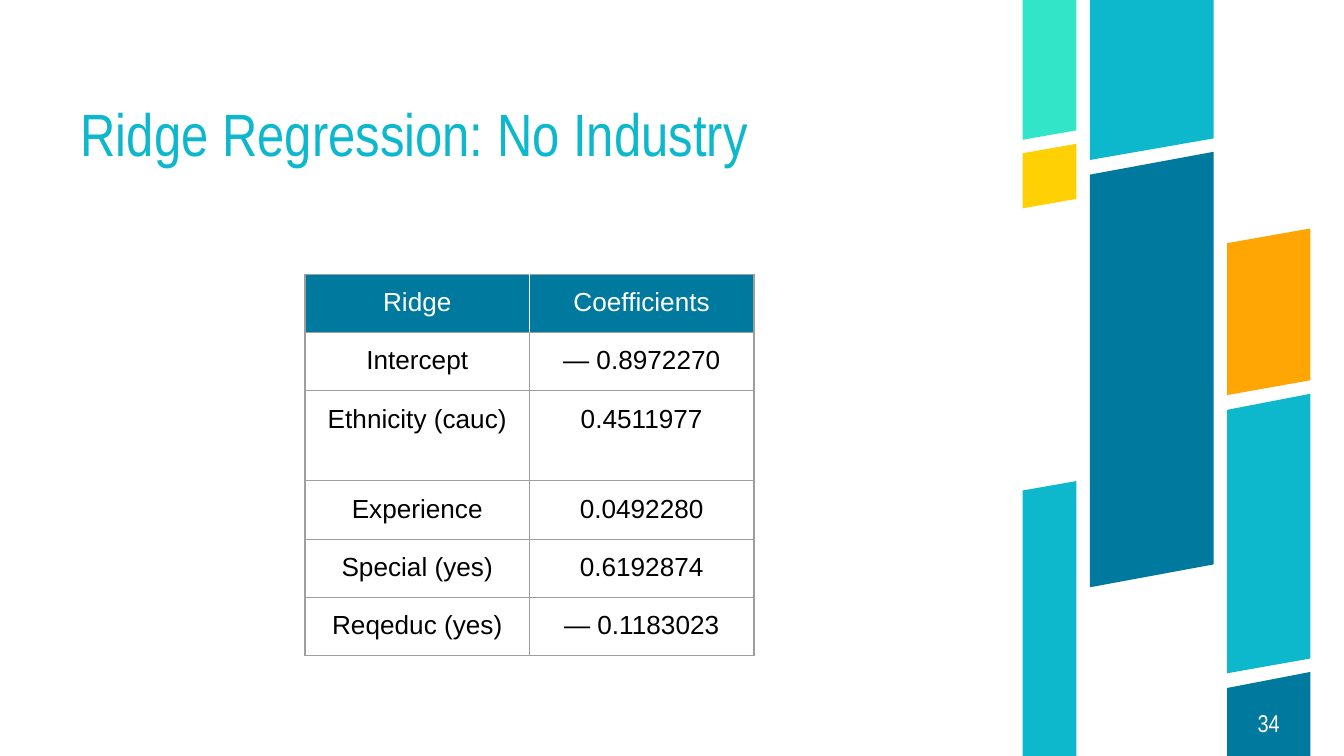
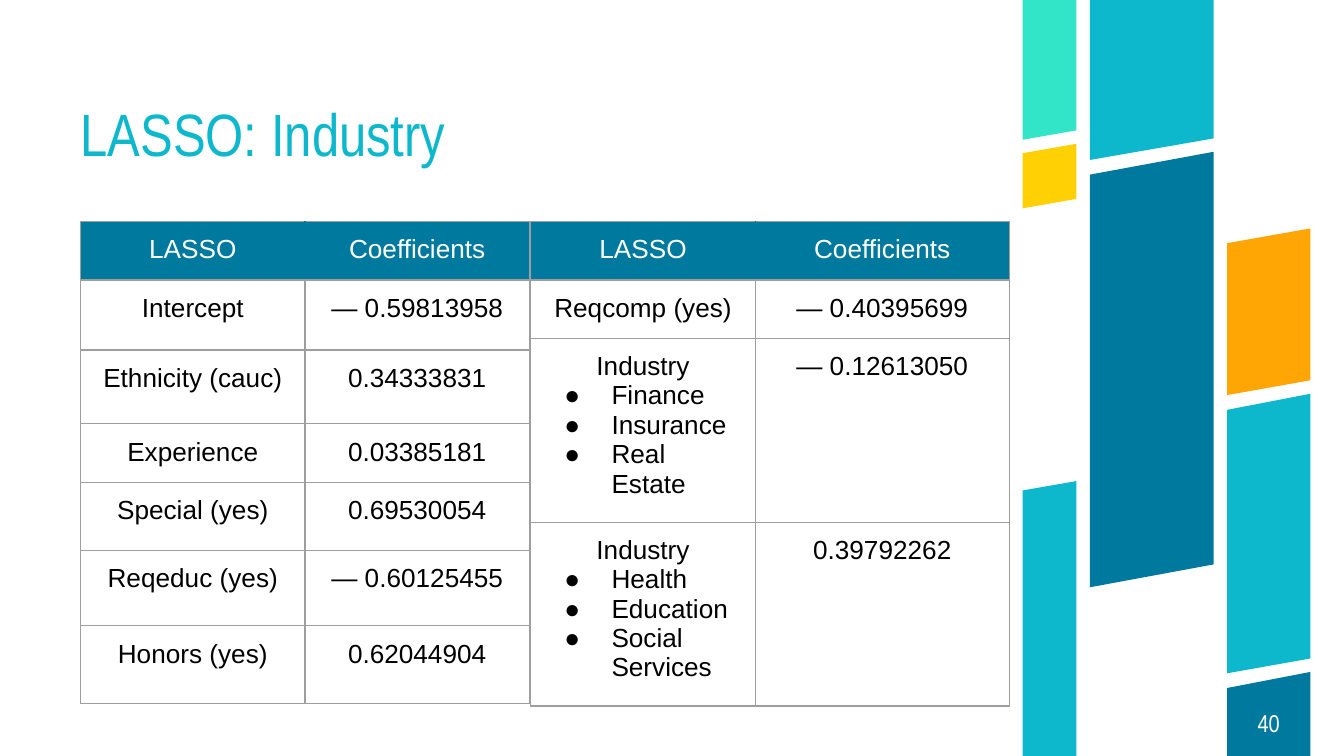
from lxml import etree
from pptx import Presentation
from pptx import util as u
from pptx.dml.color import RGBColor
from pptx.enum import text
from pptx.oxml import ns

# Shared look
WIDTH = 10
HEIGHT = WIDTH * 9 / 16
TEAL, BLUE, MINT = "0DB8CC", "00799E", "32E4C8"
YELLOW, ORANGE = "FFD104", "FFA604"
WHITE, BLACK, GREY = "FFFFFF", "000000", "9E9E9E"
TITLE_FONT, TABLE_FONT = "Arial Narrow", "Arial"
LEFT, CENTER = text.PP_ALIGN.LEFT, text.PP_ALIGN.CENTER
PLAIN_TABLE_STYLE = "{2D5ABB26-0587-4C30-8999-92F81FD0307C}"
TABLE_FRAME = 3.28

# Each column: left, right, then bands as
# (top left, top right, bottom right, bottom left, colour)
BAND_COLUMNS = [
    (7.61, 8.01, [(3.65, 3.58, HEIGHT, HEIGHT, TEAL),
                  (1.14, 1.07, 1.48, 1.55, YELLOW),
                  (0, 0, 0.97, 1.04, MINT)]),
    (8.11, 9.03, [(1.3, 1.13, 4.2, 4.37, BLUE),
                  (0, 0, 1.03, 1.19, TEAL)]),
    (9.13, 9.75, [(1.81, 1.7, 2.83, 2.94, ORANGE),
                  (5.12, 5, HEIGHT, HEIGHT, BLUE),
                  (3.05, 2.93, 4.9, 5.01, TEAL)]),
]

# Table contents; a list in a cell is a heading followed by bullets
RIDGE = [
    ("Ridge", "Coefficients"),
    ("Intercept", "— 0.8972270"),
    ("Ethnicity (cauc)", "0.4511977"),
    ("Experience", "0.0492280"),
    ("Special (yes)", "0.6192874"),
    ("Reqeduc (yes)", "— 0.1183023"),
]
LASSO_PERSONAL = [
    ("LASSO", "Coefficients"),
    ("Intercept", "— 0.59813958"),
    ("Ethnicity (cauc)", "0.34333831"),
    ("Experience", "0.03385181"),
    ("Special (yes)", "0.69530054"),
    ("Reqeduc (yes)", "— 0.60125455"),
    ("Honors (yes)", "0.62044904"),
]
LASSO_INDUSTRY = [
    ("LASSO", "Coefficients"),
    ("Reqcomp (yes)", "— 0.40395699"),
    (["Industry", "Finance", "Insurance", "Real Estate"], "— 0.12613050"),
    (["Industry", "Health", "Education", "Social Services"], "0.39792262"),
]


def color(value):
    return RGBColor.from_string(value)


# Text
def set_default_font(presentation):
    for root in (presentation.element, presentation.slide_master.element):
        for latin in root.iter(ns.qn("a:latin")):
            latin.set("typeface", TABLE_FONT)


def write(paragraph, content, size=14, font=TABLE_FONT, fill=BLACK,
          align=CENTER, spacing=None):
    paragraph.alignment = align
    if spacing:
        paragraph.line_spacing = spacing
    run = paragraph.add_run()
    run.text = content
    run.font.size = u.Pt(size)
    run.font.name = font
    run.font.color.rgb = color(fill)


def add_text(slide, box, content, anchor, **style):
    shape = slide.shapes.add_textbox(*map(u.Inches, box))
    frame = shape.text_frame
    frame.word_wrap = True
    frame.vertical_anchor = anchor
    frame.margin_left = frame.margin_right = 0
    frame.margin_top = frame.margin_bottom = 0
    write(frame.paragraphs[0], content, font=TITLE_FONT, **style)


def add_bullet(paragraph):
    properties = paragraph._p.get_or_add_pPr()
    properties.set("marL", str(u.Inches(0.5)))
    properties.set("indent", str(u.Inches(-0.35)))
    bullet_color = etree.SubElement(properties, ns.qn("a:buClr"))
    etree.SubElement(bullet_color, ns.qn("a:srgbClr"), val=BLACK)
    etree.SubElement(properties, ns.qn("a:buSzPts"), val="1400")
    etree.SubElement(properties, ns.qn("a:buFont"), typeface=TABLE_FONT)
    etree.SubElement(properties, ns.qn("a:buChar"), char="●")


# Slanted bands
def add_band(slide, points, fill):
    corners = [(u.Inches(x), u.Inches(y)) for x, y in points]
    builder = slide.shapes.build_freeform(*corners[0])
    builder.add_line_segments(corners[1:], close=True)
    shape = builder.convert_to_shape()
    shape.shadow.inherit = False
    shape.fill.solid()
    shape.fill.fore_color.rgb = color(fill)
    shape.line.fill.background()


# Tables
def set_borders(cell, **overrides):
    properties = cell._tc.get_or_add_tcPr()
    for side in "LRTB":
        line = etree.SubElement(properties, ns.qn(f"a:ln{side}"),
                                w=str(u.Pt(0.75)))
        fill = etree.SubElement(line, ns.qn("a:solidFill"))
        etree.SubElement(fill, ns.qn("a:srgbClr"),
                         val=overrides.get(side, GREY))


def fill_cell(cell, content, header):
    cell.margin_left = cell.margin_right = u.Inches(0.1)
    cell.margin_top = cell.margin_bottom = u.Inches(0.1)
    if header:
        cell.fill.solid()
        cell.fill.fore_color.rgb = color(BLUE)
    else:
        cell.fill.background()
    heading, *items = content if isinstance(content, list) else [content]
    frame = cell.text_frame
    write(frame.paragraphs[0], heading, fill=WHITE if header else BLACK)
    for item in items:
        paragraph = frame.add_paragraph()
        write(paragraph, item, align=LEFT)
        add_bullet(paragraph)


def add_coefficients(slide, left, top, widths, heights, rows, divider=BLUE):
    frame = slide.shapes.add_table(
        len(rows), len(widths), u.Inches(left), u.Inches(top),
        u.Inches(TABLE_FRAME), u.Inches(TABLE_FRAME))
    table = frame.table
    table.first_row = table.horz_banding = False
    for style in frame.element.iter(ns.qn("a:tableStyleId")):
        style.text = PLAIN_TABLE_STYLE
    for column, width in zip(table.columns, widths):
        column.width = u.Inches(width)
    for row, height in zip(table.rows, heights):
        row.height = u.Inches(height)
    frame.width = frame.height = u.Inches(TABLE_FRAME)
    for row_index, row in enumerate(rows):
        for column_index, content in enumerate(row):
            cell = table.cell(row_index, column_index)
            header = row_index == 0
            inner_side = "L" if column_index else "R"
            set_borders(cell, **({inner_side: divider} if header else {}))
            fill_cell(cell, content, header)


# Slide frame: bands, title and number
def add_slide(presentation, title, number):
    slide = presentation.slides.add_slide(presentation.slide_layouts[6])
    for left, right, bands in BAND_COLUMNS:
        for top_left, top_right, bottom_right, bottom_left, fill in bands:
            add_band(slide, [(left, top_left), (right, top_right),
                             (right, bottom_right), (left, bottom_left)], fill)
    add_text(slide, (0.6, 0.83, 6.68, 0.43), title, text.MSO_ANCHOR.BOTTOM,
             size=32, fill=TEAL, align=LEFT, spacing=0.9)
    add_text(slide, (9.13, 5.13, 0.62, 0.5), number, text.MSO_ANCHOR.MIDDLE,
             size=13, fill=WHITE)
    return slide


def main():
    presentation = Presentation()
    presentation.slide_width = u.Inches(WIDTH)
    presentation.slide_height = u.Inches(HEIGHT)
    set_default_font(presentation)

    ridge = add_slide(presentation, "Ridge Regression: No Industry", "34")
    add_coefficients(ridge, 2.27, 2.04, [1.67, 1.67],
                     [0.42, 0.43, 0.67, 0.42, 0.42, 0.42], RIDGE,
                     divider=WHITE)

    lasso = add_slide(presentation, "LASSO: Industry", "40")
    add_coefficients(lasso, 0.6, 1.65, [1.67, 1.67],
                     [0.42, 0.52, 0.55, 0.42, 0.51, 0.56, 0.58],
                     LASSO_PERSONAL)
    add_coefficients(lasso, 3.95, 1.65, [1.67, 1.89],
                     [0.42, 0.43, 0.67, 0.42], LASSO_INDUSTRY)

    presentation.save("out.pptx")


if __name__ == "__main__":
    main()
